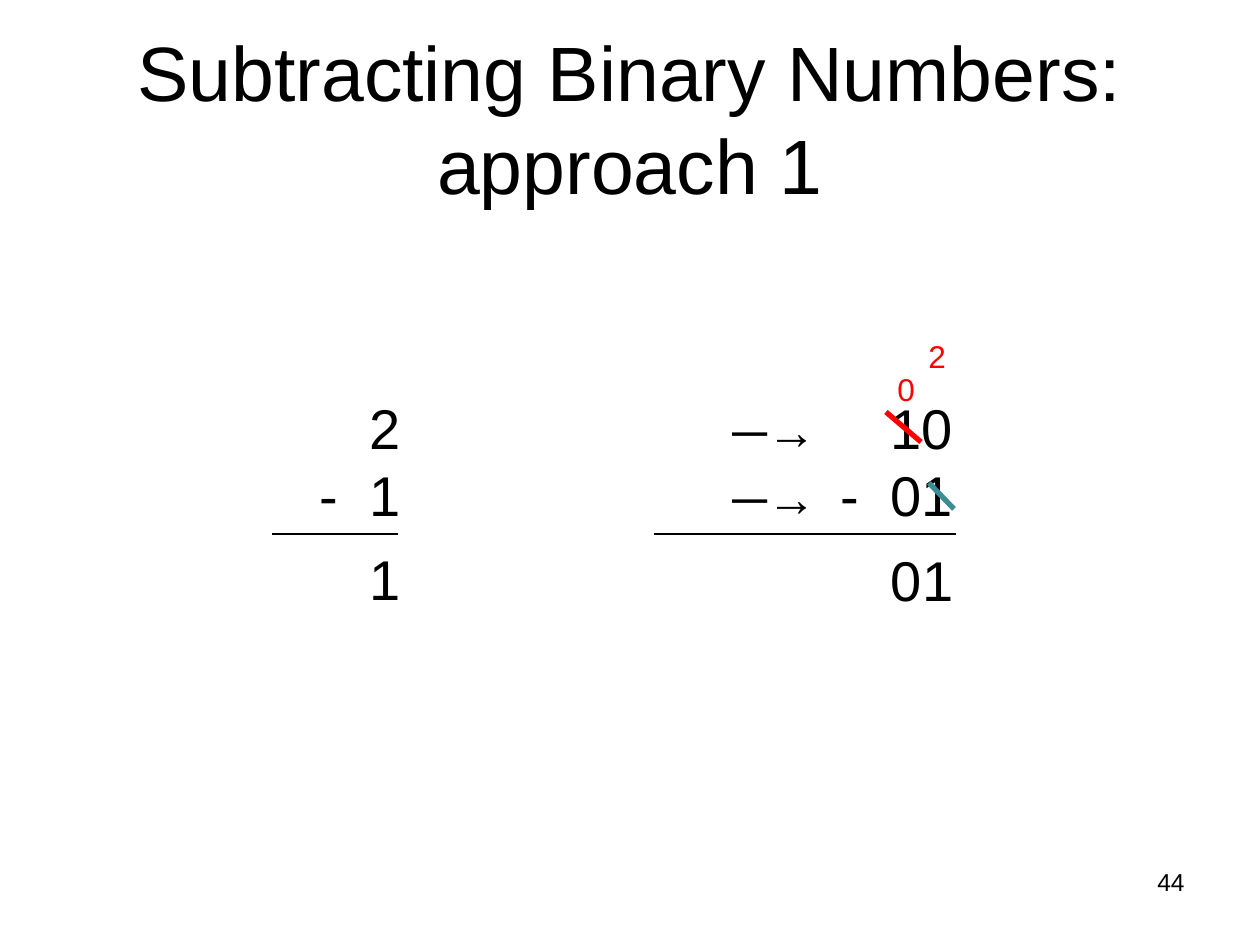
from lxml.etree import SubElement
from pptx import Presentation
from pptx.dml.color import RGBColor
from pptx.enum.shapes import MSO_CONNECTOR as CONNECTOR
from pptx.enum.text import MSO_ANCHOR as ANCHOR, PP_ALIGN as ALIGN
from pptx.oxml.ns import qn
from pptx.util import Emu, Pt

PX_PER_INCH = 126
BLACK = RGBColor(0x00, 0x00, 0x00)
RED = RGBColor(0xFF, 0x00, 0x00)
TEAL = RGBColor(0x3C, 0x8C, 0x93)


def px(length):
    return Emu(round(length * 914400 / PX_PER_INCH))


def add_box(page, left, top, width, height, anchor=ANCHOR.TOP):
    box = page.shapes.add_textbox(px(left), px(top), px(width), px(height))
    frame = box.text_frame
    frame.word_wrap = True
    frame.vertical_anchor = anchor
    return frame


def add_span(para, text, size, color=BLACK, name="Arial"):
    span = para.add_run()
    span.text = text
    for key, value in {"size": Pt(size), "name": name}.items():
        setattr(span.font, key, value)
    span.font.color.rgb = color


def add_label(page, place, text, size, color=BLACK, align=ALIGN.LEFT, anchor=ANCHOR.TOP):
    para = add_box(page, *place, anchor).paragraphs[0]
    para.alignment = align
    add_span(para, text, size, color)


def add_rows(page, place, tab_stops, rows, line_spacings):
    """Stack rows of (text, size, font) spans whose columns sit on tab stops."""
    frame = add_box(page, *place)
    frame.margin_right = 0
    for index, (spans, spacing) in enumerate(zip(rows, line_spacings)):
        para = frame.add_paragraph() if index else frame.paragraphs[0]
        para.line_spacing = spacing
        tabs = SubElement(para._p.get_or_add_pPr(), qn("a:tabLst"))
        for stop in tab_stops:
            SubElement(tabs, qn("a:tab"), pos=str(px(stop)), algn="l")
        for text, size, name in spans:
            add_span(para, text, size, name=name)


def add_line(page, start, end, color, width):
    line = page.shapes.add_connector(
        CONNECTOR.STRAIGHT, *(px(value) for value in (*start, *end)))
    line.line.color.rgb = color
    line.line.width = Pt(width)
    SubElement(line._element.spPr, qn("a:effectLst"))


def add_decimal_sum(page):
    rows = [[(text, 32, "Arial")] for text in ("\t2", "-\t1", "\t1")]
    add_rows(page, (307, 387, 106, 232), [50], rows, [1, 1, 1.25])
    add_line(page, (272, 534), (398, 534), BLACK, 1.5)


def add_binary_sum(page):
    arrow = ("\t─→", 28, "Arial")
    rows = [[arrow, (gap, 32, "Cabin"), (number, 32, "Arial")]
            for gap, number in (("\t\t", "10"), ("\t", "-\t01"))]
    add_rows(page, (451, 387, 514, 147), [269, 377, 427], rows, [1, 1])
    add_line(page, (654, 534), (956, 534), BLACK, 1.5)
    for left, digit in ((878, "0"), (910, "1")):
        add_label(page, (left, 539, 57, 81), digit, 32)


def add_borrow(page):
    """Show the borrowed digits and strike out the ones they replace."""
    for left, top, digit in ((885, 364, "0"), (916, 331, "2")):
        add_label(page, (left, top, 43, 50), digit, 18, RED)
    add_line(page, (929, 483), (954, 509), TEAL, 3)
    add_line(page, (886, 412), (921, 442), RED, 3)


def main():
    deck = Presentation()
    deck.slide_width, deck.slide_height = px(1260), px(945)
    page = deck.slides.add_slide(deck.slide_layouts[6])
    add_label(page, (903, 861, 294, 66), "44", 14, align=ALIGN.RIGHT)
    add_label(page, (63, 38, 1134, 158), "Subtracting Binary Numbers: approach 1",
              44, align=ALIGN.CENTER, anchor=ANCHOR.MIDDLE)
    add_decimal_sum(page)
    add_binary_sum(page)
    add_borrow(page)
    deck.save("out.pptx")


if __name__ == "__main__":
    main()
